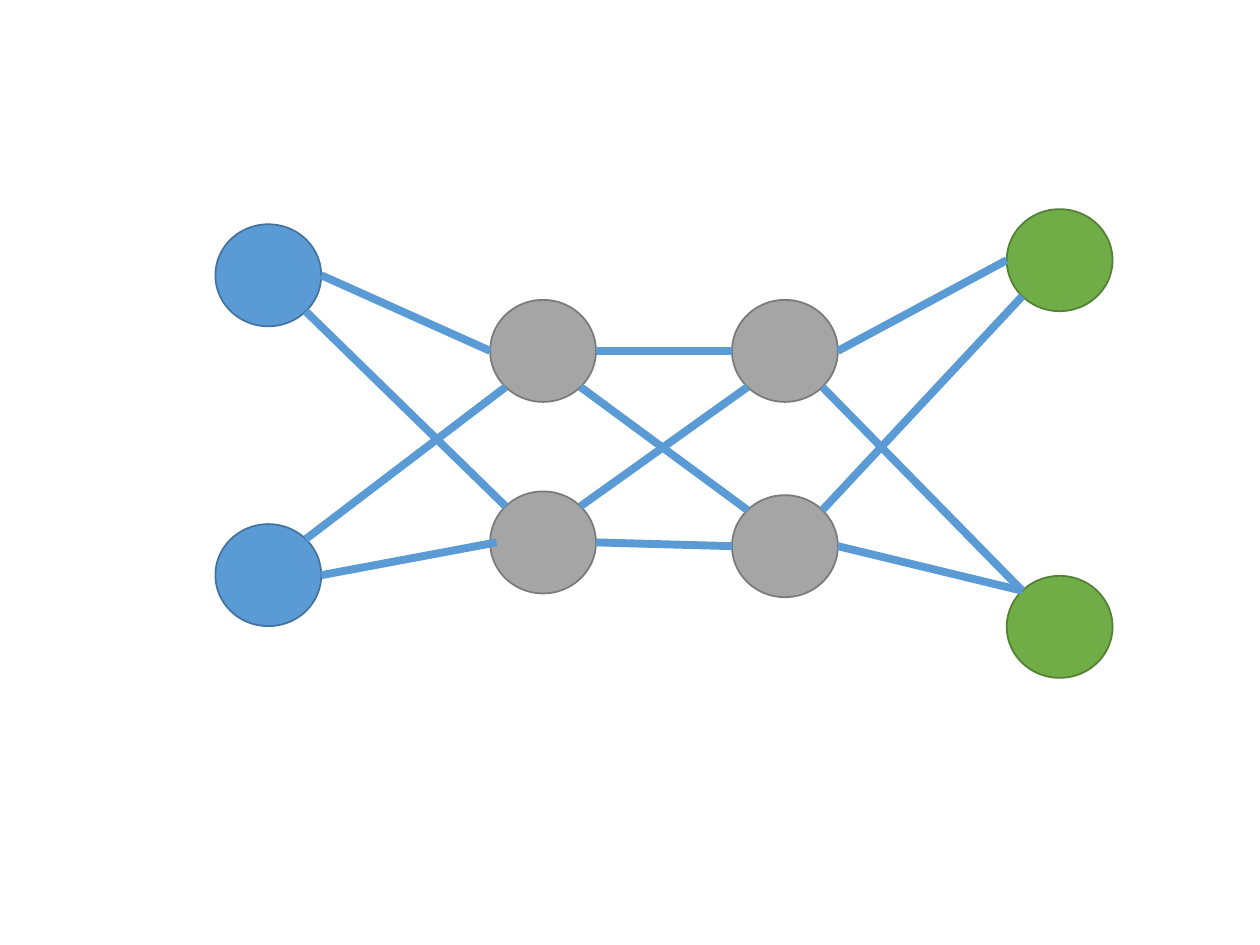
from math import sqrt

from lxml.etree import SubElement
from pptx import Presentation
from pptx.dml.color import RGBColor
from pptx.enum.shapes import MSO_CONNECTOR, MSO_SHAPE
from pptx.oxml.ns import qn
from pptx.util import Inches, Pt


def rgb(hex_string):
    return RGBColor.from_string(hex_string)


def site(node, direction):
    """Point of a node's outline; direction is in units of its radii."""
    dx, dy = direction
    return (int(node.left + node.width * (1 + dx) / 2),
            int(node.top + node.height * (1 + dy) / 2))


prs = Presentation()
prs.slide_width, prs.slide_height = Inches(10), Inches(7.5)
s = prs.slides.add_slide(prs.slide_layouts[6])

# The slide is a grid of 100 columns by 75 rows
COL, ROW = prs.slide_width / 100, prs.slide_height / 75
NODE_W, NODE_H = 8.4, 8.1

BLUE, GREEN, GRAY = ("5B9BD5", "43739E"), ("70AD47", "538035"), ("A5A5A5", "7A7A7A")

# Layer: name, column, rows of its upper and lower node, (fill, outline)
layers = [
    ("in", 17.1, (17.8, 41.6), BLUE),
    ("out", 79.9, (16.6, 45.7), GREEN),
    ("hidden1", 38.9, (23.8, 39), GRAY),
    ("hidden2", 58.1, (23.8, 39.3), GRAY),
]
nodes = {}
for name, col, rows, (fill, outline) in layers:
    for i, row in enumerate(rows):
        sp = s.shapes.add_shape(MSO_SHAPE.OVAL, int(col * COL), int(row * ROW),
                                int(NODE_W * COL), int(NODE_H * ROW))
        sp.shadow.inherit = False
        sp.fill.solid()
        sp.fill.fore_color.rgb = rgb(fill)
        sp.line.color.rgb = rgb(outline)
        sp.line.width = Pt(1)
        nodes[name, i] = sp

D = sqrt(0.5)
LEFT, RIGHT, INNER_LEFT = (-1, 0), (1, 0), (-0.88, 0)
UP_LEFT, UP_RIGHT, DOWN_LEFT, DOWN_RIGHT = (-D, -D), (D, -D), (-D, D), (D, D)

# Links between layers: layers, then (from node, site, to node, site)
falling = (0, DOWN_RIGHT, 1, UP_LEFT)
rising = (1, UP_RIGHT, 0, DOWN_LEFT)
upper = (0, RIGHT, 0, LEFT)
links = [
    ("in", "hidden1", [upper, (1, RIGHT, 1, INNER_LEFT), falling, rising]),
    ("hidden1", "hidden2", [upper, (1, RIGHT, 1, LEFT), falling, rising]),
    ("hidden2", "out", [upper, (1, RIGHT, 1, UP_LEFT), falling, rising]),
]
for start, end, pairs in links:
    for i, start_site, j, end_site in pairs:
        c = s.shapes.add_connector(MSO_CONNECTOR.STRAIGHT,
                                   *site(nodes[start, i], start_site),
                                   *site(nodes[end, j], end_site))
        c.line.color.rgb = rgb(BLUE[0])
        c.line.width = Pt(4.5)
        SubElement(c._element.spPr, qn("a:effectLst"))

prs.save("out.pptx")
